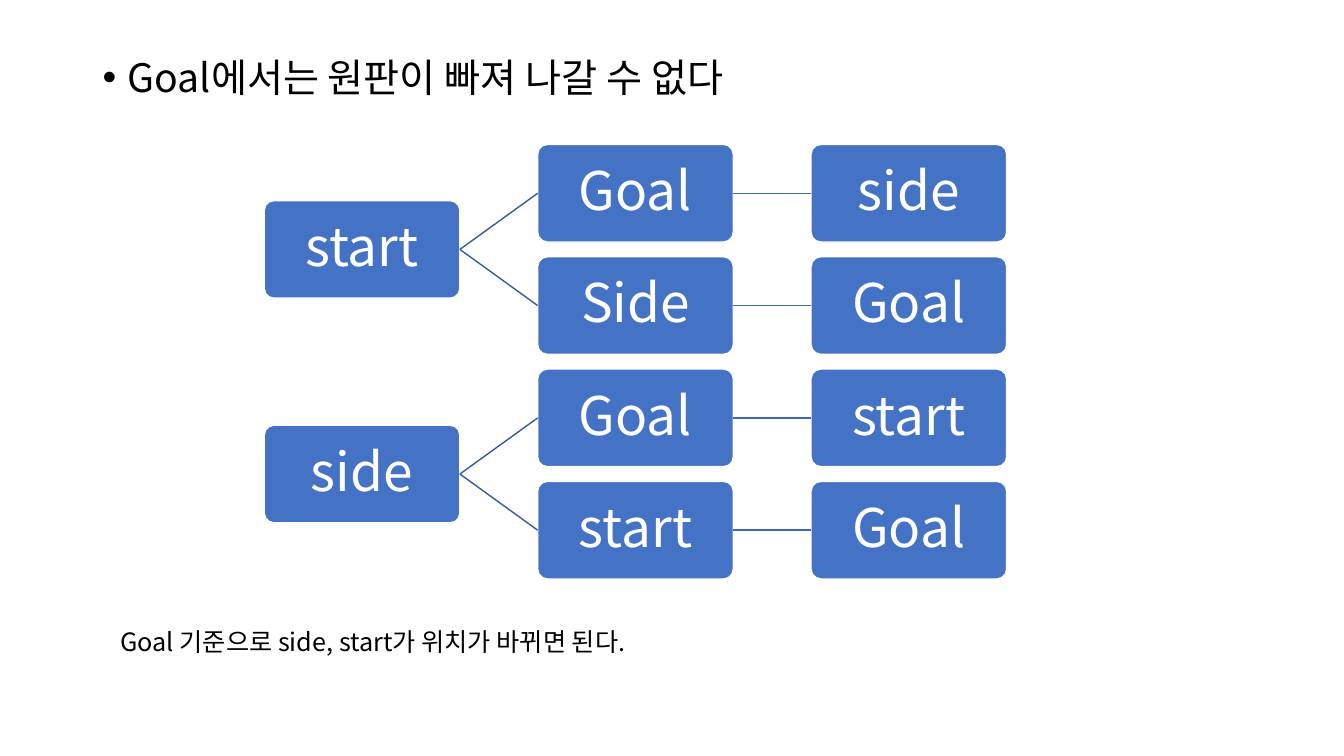
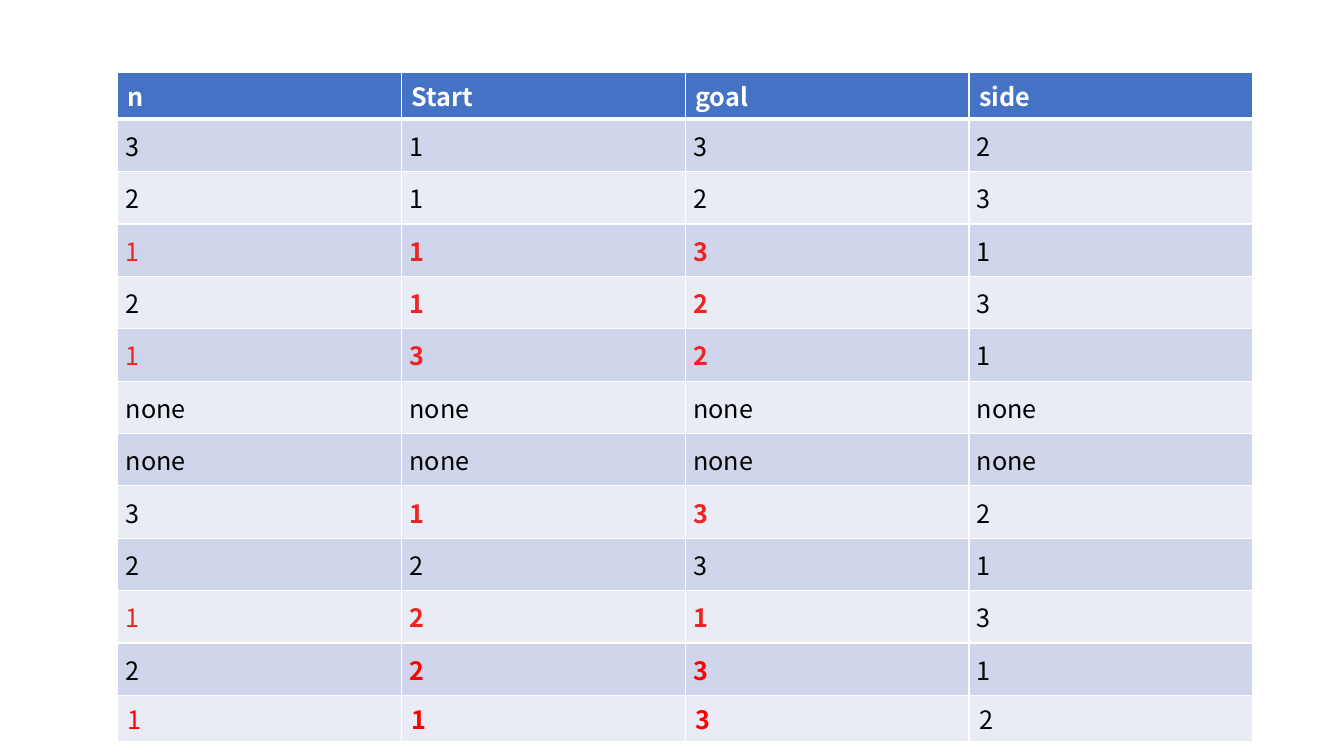
from pptx import Presentation
from pptx.dml.color import RGBColor
from pptx.enum.shapes import MSO_CONNECTOR, MSO_SHAPE
from pptx.enum.text import MSO_ANCHOR, MSO_AUTO_SIZE, PP_ALIGN
from pptx.oxml.ns import qn
from pptx.util import Cm, Pt
from lxml.etree import SubElement

# Shared style
FONT = "Noto Sans CJK KR"
BLUE, WHITE, BLACK = "4472C4", "FFFFFF", "000000"
BRANCH, LINK = "365B9D", "3E67B2"
BANDS = ("CFD5EA", "E9EBF5")
RED, PURE_RED = "EE2323", "FF0000"
TITLE_ONLY, BLANK = 5, 6

# Tree grid, in cm
TREE_LEFT, TREE_TOP = 6.66, 3.64
COL_STEP, ROW_STEP = 6.89, 2.83
BOX_W, BOX_H = 4.93, 2.46
LEFT_SITE, RIGHT_SITE = 1, 3
TREE = [
    ("start", [("Goal", "side"), ("Side", "Goal")]),
    ("side", [("Goal", "start"), ("start", "Goal")]),
]

# Table rows: values, then the colour that marks the row's move
HEADER = ("n", "Start", "goal", "side")
MOVES = [
    ("3132", None),
    ("2123", None),
    ("1131", RED),
    ("2123", RED),
    ("1321", RED),
    (["none"] * 4, None),
    (["none"] * 4, None),
    ("3132", RED),
    ("2231", None),
    ("1213", RED),
    ("2231", PURE_RED),
    ("1132", PURE_RED),
]


def rgb(value):
    return RGBColor.from_string(value)


def set_all(obj, values):
    for name, value in values.items():
        setattr(obj, name, value)


def write(tf, text, size, color, bold=False, **paragraph):
    p = tf.paragraphs[0]
    set_all(p, paragraph)
    r = p.add_run()
    r.text = text
    set_all(r.font, {"name": FONT, "size": Pt(size), "bold": bold})
    r.font.color.rgb = rgb(color)
    SubElement(r.font._element, qn("a:ea"), typeface=FONT)
    return p


def add_bullet_title(s, text):
    title = s.shapes.title
    set_all(title, {"left": Cm(2.33), "top": Cm(1.35),
                    "width": Cm(29.21), "height": Cm(1.47)})
    tf = title.text_frame
    set_all(tf, {"auto_size": MSO_AUTO_SIZE.NONE, "word_wrap": True,
                 "vertical_anchor": MSO_ANCHOR.TOP})
    p = write(tf, text, 28, BLACK, alignment=PP_ALIGN.LEFT,
              line_spacing=0.9, space_before=Pt(10))
    pPr = p._p.get_or_add_pPr()
    pPr.set("marL", str(Cm(0.64)))
    pPr.set("indent", str(-Cm(0.64)))
    SubElement(pPr, qn("a:buFont"), typeface="Arial")
    SubElement(pPr, qn("a:buChar"), char="•")


def add_note(s, text):
    box = s.shapes.add_textbox(Cm(2.79), Cm(15.67), Cm(27.53), Cm(1.02))
    box.text_frame.word_wrap = True
    write(box.text_frame, text, 18, BLACK)


def add_box(s, col, row, text):
    sp = s.shapes.add_shape(
        MSO_SHAPE.ROUNDED_RECTANGLE, Cm(TREE_LEFT + col * COL_STEP),
        Cm(TREE_TOP + row * ROW_STEP), Cm(BOX_W), Cm(BOX_H))
    sp.adjustments[0] = 0.1
    sp.shadow.inherit = False
    sp.fill.solid()
    sp.fill.fore_color.rgb = rgb(BLUE)
    sp.line.color.rgb = rgb(WHITE)
    sp.line.width = Pt(1)
    tf = sp.text_frame
    margins = ("margin_left", "margin_top", "margin_right", "margin_bottom")
    set_all(tf, dict.fromkeys(margins, Cm(0.15)))
    set_all(tf, {"word_wrap": True, "vertical_anchor": MSO_ANCHOR.MIDDLE})
    write(tf, text, 38, WHITE, alignment=PP_ALIGN.CENTER, line_spacing=0.9)
    return sp


def join(s, parent, child, color):
    line = s.shapes.add_connector(MSO_CONNECTOR.STRAIGHT, 0, 0, 0, 0)
    line.begin_connect(parent, RIGHT_SITE)
    line.end_connect(child, LEFT_SITE)
    line.line.color.rgb = rgb(color)
    line.line.width = Pt(1)
    SubElement(line._element.spPr, qn("a:effectLst"))


def add_tree(s):
    row = 0
    for root_text, branches in TREE:
        # A root is centred on its branches
        root = add_box(s, 0, row + (len(branches) - 1) / 2, root_text)
        for middle_text, leaf_text in branches:
            middle = add_box(s, 1, row, middle_text)
            leaf = add_box(s, 2, row, leaf_text)
            join(s, root, middle, BRANCH)
            join(s, middle, leaf, LINK)
            row += 1


def set_borders(cell, **widths):
    tcPr = cell._tc.get_or_add_tcPr()
    for side in "LRTB":
        ln = SubElement(tcPr, qn("a:ln" + side), w=str(Pt(widths.get(side, 1))))
        fill = SubElement(ln, qn("a:solidFill"))
        SubElement(fill, qn("a:srgbClr"), val=WHITE)


def fill_cell(cell, text, fill, color, bold, borders, **layout):
    set_borders(cell, **borders)
    cell.fill.solid()
    cell.fill.fore_color.rgb = rgb(fill)
    set_all(cell, layout)
    write(cell.text_frame, text, 18, color, bold)


def add_moves_table(s):
    table = s.shapes.add_table(
        len(MOVES) + 1, len(HEADER), Cm(2.97), Cm(1.83),
        Cm(28.6), Cm(1.12) * (len(MOVES) + 1)).table
    table.horz_banding = False
    for col, text in enumerate(HEADER):
        fill_cell(table.cell(0, col), text, BLUE, WHITE, True, {"B": 3})

    padded = dict.fromkeys(
        ("margin_left", "margin_top", "margin_right", "margin_bottom"), Cm(0.2))
    padded["vertical_anchor"] = MSO_ANCHOR.MIDDLE
    for row, (values, mark) in enumerate(MOVES, 1):
        layout = padded if row < len(MOVES) else {}
        borders = {"T": 3} if row == 1 else {}
        for col, text in enumerate(values):
            # Marked rows show the move in bold, and n when it reaches 1
            is_move = mark is not None and col in (1, 2)
            is_last_disc = mark is not None and col == 0 and text == "1"
            color = mark if is_move or is_last_disc else BLACK
            fill_cell(table.cell(row, col), text, BANDS[(row - 1) % 2],
                      color, is_move, borders, **layout)


def main():
    prs = Presentation()
    set_all(prs, {"slide_width": Cm(33.87), "slide_height": Cm(19.05)})

    # Order of the pegs
    s = prs.slides.add_slide(prs.slide_layouts[TITLE_ONLY])
    add_bullet_title(s, "Goal에서는 원판이 빠져 나갈 수 없다")
    add_tree(s)
    add_note(s, "Goal 기준으로 side, start가 위치가 바뀌면 된다.")

    # Trace of the moves
    s = prs.slides.add_slide(prs.slide_layouts[BLANK])
    add_moves_table(s)

    prs.save("out.pptx")


main()
